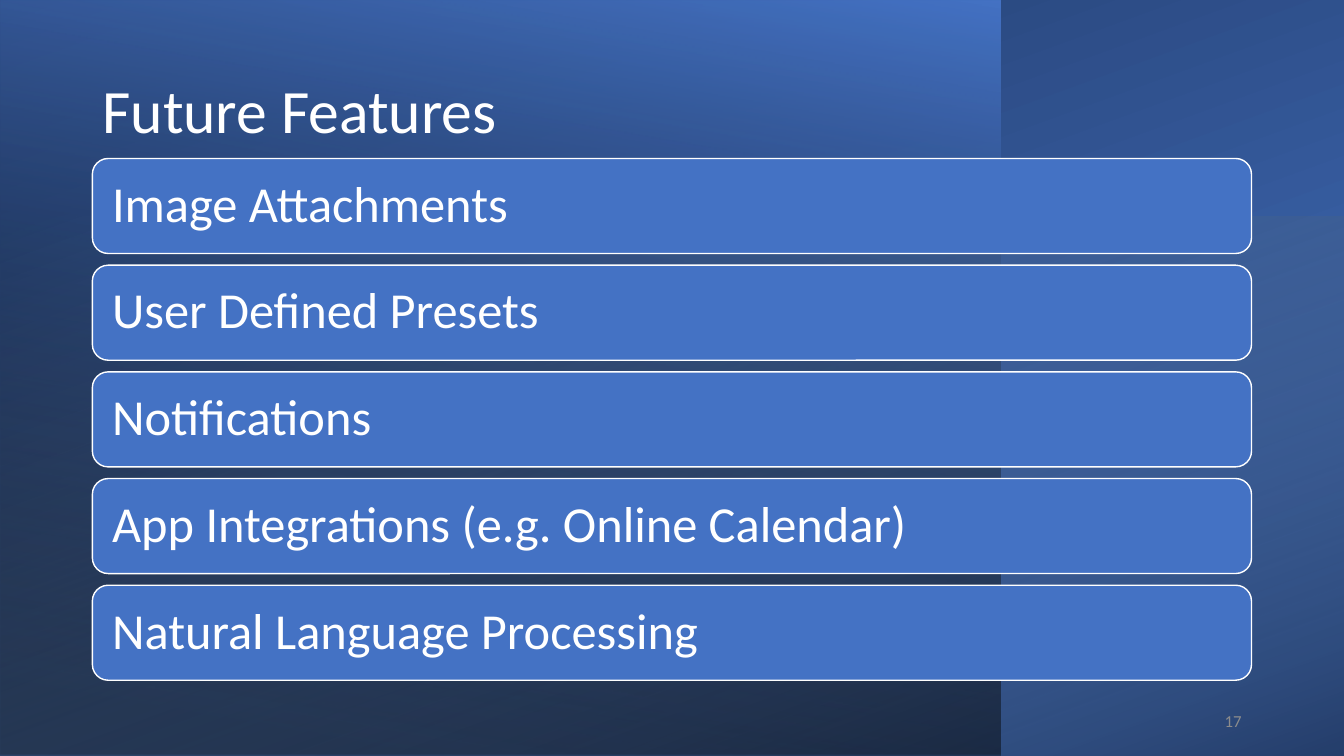
"""Build the Future Features slide with its layered gradients and feature bars."""
from pptx import Presentation
from pptx.dml.color import RGBColor
from pptx.enum.shapes import MSO_SHAPE as Shape
from pptx.enum.text import MSO_ANCHOR as Anchor, MSO_AUTO_SIZE as AutoSize, PP_ALIGN as Align
from pptx.oxml.ns import qn
from pptx.util import Pt

TITLE = "Future Features"
FEATURES = [
    "Image Attachments",
    "User Defined Presets",
    "Notifications",
    "App Integrations (e.g. Online Calendar)",
    "Natural Language Processing",
]
PAGE_NUMBER = "17"
COLORS = {
    "blue": "4472C4",
    "navy": "203864",
    "sky": "9DC3E6",
    "black": "000000",
    "white": "FFFFFF",
    "gray": "8C8C8C",
}
BACKGROUNDS = [
    {"box": (210, -210, 540, 960), "rotation": 270, "angle": 200,
     "stops": [(8, "blue", 100), (100, "navy", 100)]},
    {"box": (0, 0, 714.4, 540), "rotation": 180, "angle": 80,
     "stops": [(8, "black", 52), (100, "blue", 100)]},
    {"box": (287.4, -132.6, 385.2, 960), "rotation": 270, "angle": 20,
     "stops": [(0, "sky", 0), (100, "black", 46)]},
]
SLIDE_SIZE = (960, 540)
TITLE_BOX = (66, 28.75, 828, 104.4)
NUMBER_BOX = (678, 500.5, 216, 28.75)
BAR_LEFT, BAR_TOP, BAR_WIDTH, BAR_HEIGHT = 66, 113.2, 828, 67.9
BAR_PITCH = 76.2
BAR_INSET = 10.8


def color(name):
    return RGBColor.from_string(COLORS[name])


def points(values):
    return [Pt(value) for value in values]


def set_attributes(target, values):
    for name, value in values.items():
        setattr(target, name, value)


def write_text(shape, text, size, color_name, align=Align.LEFT, spacing=0.9, insets=(7.2, 3.6)):
    side, edge = points(insets)
    frame = shape.text_frame
    frame.text = text
    set_attributes(frame, {
        "word_wrap": True, "auto_size": AutoSize.NONE, "vertical_anchor": Anchor.MIDDLE,
        "margin_left": side, "margin_right": side, "margin_top": edge, "margin_bottom": edge,
    })
    paragraph = frame.paragraphs[0]
    set_attributes(paragraph, {"alignment": align, "line_spacing": spacing})
    font = paragraph.runs[0].font
    set_attributes(font, {"name": "Calibri", "size": Pt(size)})
    font.color.rgb = color(color_name)


def add_background(slide, box, rotation, angle, stops):
    shape = slide.shapes.add_shape(Shape.RECTANGLE, *points(box))
    shape.shadow.inherit = False
    shape.rotation = rotation
    shape.line.fill.background()
    properties = shape._element.spPr
    properties.find(qn("a:xfrm")).set("flipH", "1")
    shape.fill.gradient()
    shape.fill.gradient_angle = 360 - angle
    for stop, (position, name, _) in zip(shape.fill.gradient_stops, stops):
        stop.position = position / 100
        stop.color.rgb = color(name)
    for element, (_, _, opacity) in zip(properties.iter(qn("a:srgbClr")), stops):
        if opacity < 100:
            alpha = element.makeelement(qn("a:alpha"), {"val": str(opacity * 1000)})
            element.append(alpha)


def add_bar(slide, index, text):
    box = (BAR_LEFT, BAR_TOP + index * BAR_PITCH, BAR_WIDTH, BAR_HEIGHT)
    bar = slide.shapes.add_shape(Shape.ROUNDED_RECTANGLE, *points(box))
    bar.shadow.inherit = False
    bar.fill.solid()
    bar.fill.fore_color.rgb = color("blue")
    bar.line.color.rgb = color("white")
    bar.line.width = Pt(1)
    write_text(bar, text, 36, "white", insets=(BAR_INSET, BAR_INSET))


def main():
    presentation = Presentation()
    presentation.slide_width, presentation.slide_height = points(SLIDE_SIZE)
    slide = presentation.slides.add_slide(presentation.slide_layouts[5])
    for background in BACKGROUNDS:
        add_background(slide, **background)

    title = slide.shapes.title
    title.left, title.top, title.width, title.height = points(TITLE_BOX)
    write_text(title, TITLE, 44, "white")
    slide.shapes._spTree.append(title._element)

    for index, feature in enumerate(FEATURES):
        add_bar(slide, index, feature)
    number = slide.shapes.add_textbox(*points(NUMBER_BOX))
    write_text(number, PAGE_NUMBER, 12, "gray", align=Align.RIGHT, spacing=1.0)
    presentation.save("out.pptx")


if __name__ == "__main__":
    main()
